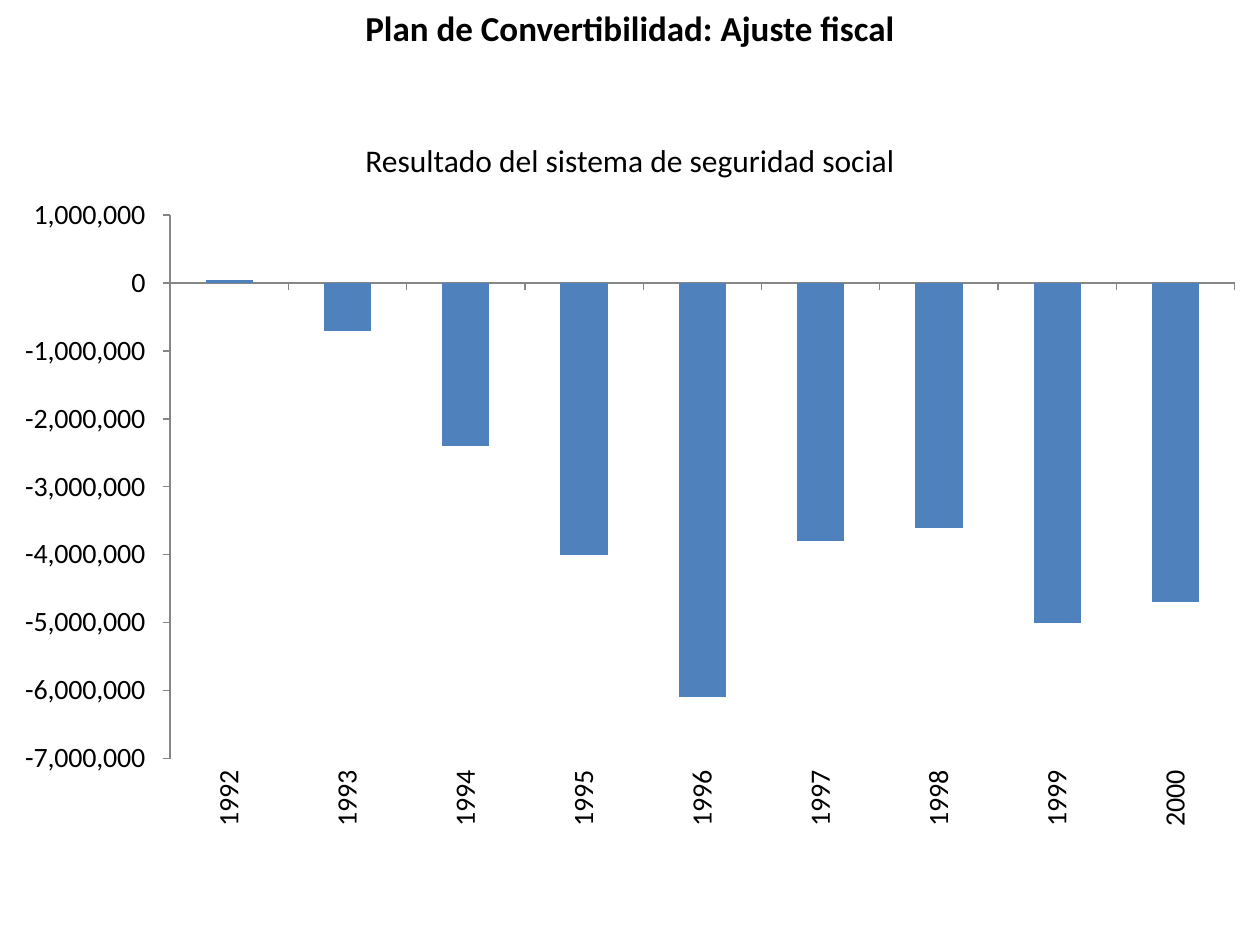
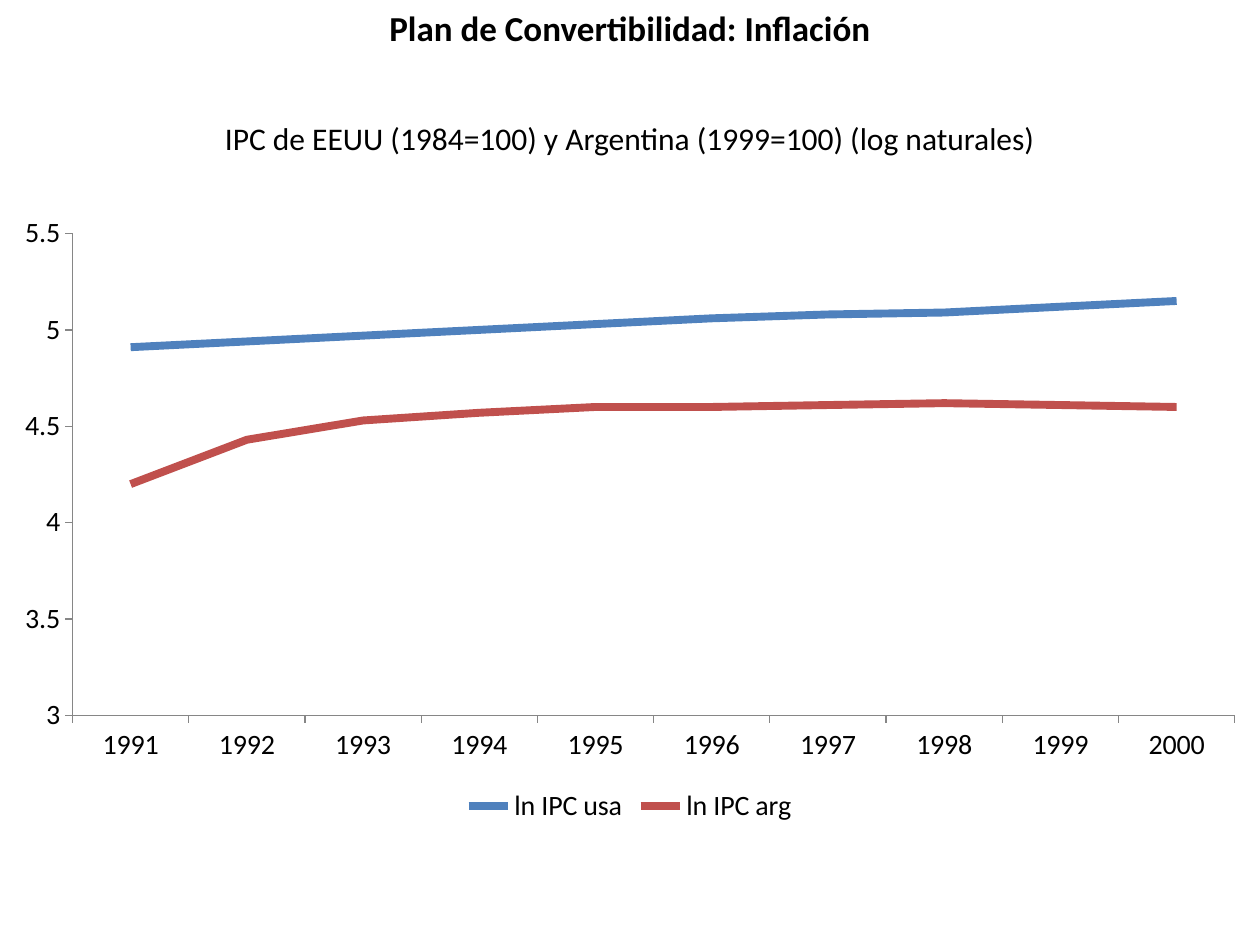
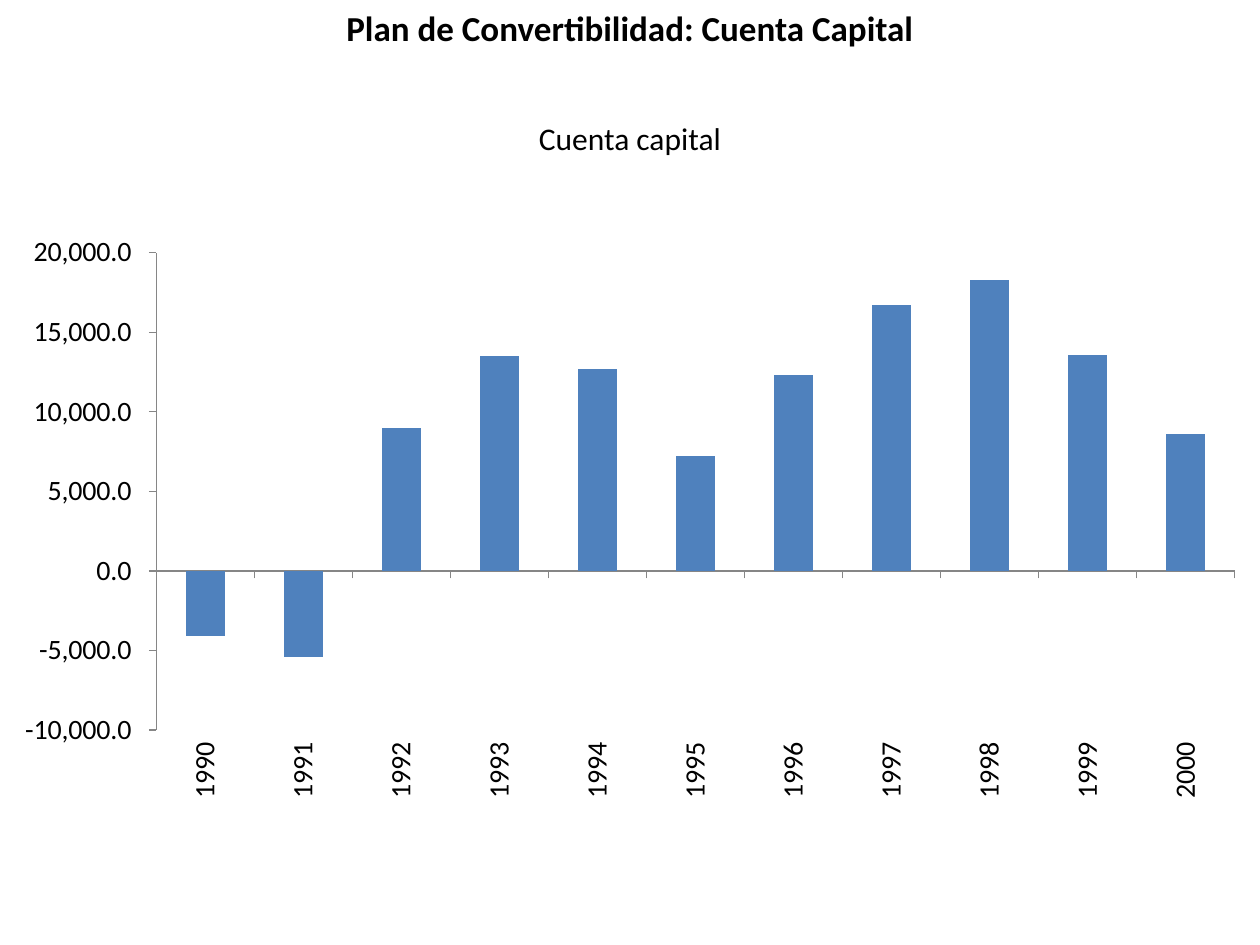
from dataclasses import dataclass

from pptx import Presentation
from pptx.chart.data import CategoryChartData
from pptx.dml.color import RGBColor
from pptx.enum.chart import XL_CHART_TYPE, XL_LEGEND_POSITION, XL_TICK_LABEL_POSITION, XL_TICK_MARK
from pptx.enum.text import MSO_AUTO_SIZE, PP_ALIGN
from pptx.util import Emu, Pt

COLUMN = XL_CHART_TYPE.COLUMN_CLUSTERED
LINE = XL_CHART_TYPE.LINE
BOTTOM = XL_LEGEND_POSITION.BOTTOM
LOW = XL_TICK_LABEL_POSITION.LOW
OUTSIDE = XL_TICK_MARK.OUTSIDE
NO_TICK = XL_TICK_MARK.NONE
GROW = MSO_AUTO_SIZE.SHAPE_TO_FIT_TEXT
CENTER = PP_ALIGN.CENTER


@dataclass(frozen=True)
class Theme:
    font: str = "Calibri"
    text: RGBColor = RGBColor(0, 0, 0)
    axis: RGBColor = RGBColor(0x86, 0x86, 0x86)
    series: tuple = (RGBColor(0x4F, 0x81, 0xBD), RGBColor(0xC0, 0x50, 0x4D))
    title_size: Pt = Pt(20)
    subtitle_size: Pt = Pt(18)
    chart_size: Pt = Pt(16)
    axis_width: Pt = Pt(0.75)
    line_width: Pt = Pt(4.5)


THEME = Theme()
WIDTH, HEIGHT = 1260, 945


def px(length):
    return Emu(round(length * 914400 / 126))


def add_heading(slide, text, top, height, size, bold):
    heading = slide.shapes.add_textbox(0, px(top), px(WIDTH), px(height))
    frame = heading.text_frame
    frame.word_wrap = True
    frame.auto_size = GROW
    paragraph = frame.paragraphs[0]
    paragraph.text = text
    paragraph.alignment = CENTER
    font = paragraph.font
    font.name, font.size, font.bold = THEME.font, size, bold
    font.color.rgb = THEME.text


topics = [
    dict(
        title="Ajuste fiscal",
        subtitle="Resultado del sistema de seguridad social",
        subtitle_top=135, chart_top=185, chart_height=655,
        kind=COLUMN, first_year=1992, scale=(-7000000, 1000000, 1000000),
        number_format=r"#,##0\ \ ",
        series={"Series 1": (40000, -700000, -2400000, -4000000, -6100000,
                             -3800000, -3600000, -5000000, -4700000)},
    ),
    dict(
        title="Inflación",
        subtitle="IPC de EEUU (1984=100) y Argentina (1999=100) (log naturales)",
        subtitle_top=113, chart_top=204, chart_height=625,
        kind=LINE, first_year=1991, scale=(3, 5.5, 0.5),
        number_format="General",
        series={
            "ln IPC usa": (4.91, 4.94, 4.97, 5, 5.03, 5.06, 5.08, 5.09, 5.12, 5.15),
            "ln IPC arg": (4.2, 4.43, 4.53, 4.57, 4.6, 4.6, 4.61, 4.62, 4.61, 4.6),
        },
    ),
    dict(
        title="Cuenta Capital",
        subtitle="Cuenta capital",
        subtitle_top=113, chart_top=224, chart_height=586,
        kind=COLUMN, first_year=1990, scale=(-10000, 20000, 5000),
        number_format=r"#,##0.0\ \ ",
        series={"Series 1": (-4100, -5400, 9000, 13500, 12700, 7200,
                             12300, 16700, 18300, 13600, 8600)},
    ),
]

prs = Presentation()
prs.slide_width, prs.slide_height = px(WIDTH), px(HEIGHT)

for topic in topics:
    slide = prs.slides.add_slide(prs.slide_layouts[6])
    add_heading(slide, f"Plan de Convertibilidad: {topic['title']}", 0, 55, THEME.title_size, True)
    add_heading(slide, topic["subtitle"], topic["subtitle_top"], 50, THEME.subtitle_size, False)

    data = CategoryChartData()
    data.categories = [str(year) for year in range(topic["first_year"], 2001)]
    for name, values in topic["series"].items():
        data.add_series(name, values)
    chart = slide.shapes.add_chart(
        topic["kind"], 0, px(topic["chart_top"]), px(WIDTH), px(topic["chart_height"]), data
    ).chart
    chart.has_title = False
    chart.font.name, chart.font.size = THEME.font, THEME.chart_size
    chart.font.color.rgb = THEME.text

    years, amounts = chart.category_axis, chart.value_axis
    for axis in (years, amounts):
        axis.has_major_gridlines = False
        axis.major_tick_mark, axis.minor_tick_mark = OUTSIDE, NO_TICK
        axis.format.line.color.rgb = THEME.axis
        axis.format.line.width = THEME.axis_width
        axis.tick_labels.font.size = THEME.chart_size
    amounts.minimum_scale, amounts.maximum_scale, amounts.major_unit = topic["scale"]
    amounts.tick_labels.number_format = topic["number_format"]
    amounts.tick_labels.number_format_is_linked = False

    plot = chart.plots[0]
    plot.vary_by_categories = False
    chart.has_legend = topic["kind"] == LINE
    if topic["kind"] == LINE:
        chart.legend.position = BOTTOM
        chart.legend.include_in_layout = False
        for series, color in zip(plot.series, THEME.series):
            series.smooth = False
            series.format.line.color.rgb = color
            series.format.line.width = THEME.line_width
    else:
        plot.gap_width = 150
        years.tick_label_position = LOW
        years._element.txPr.bodyPr.set("rot", "-5400000")
        bars = plot.series[0]
        bars.invert_if_negative = False
        bars.format.fill.solid()
        bars.format.fill.fore_color.rgb = THEME.series[0]

prs.save("out.pptx")
